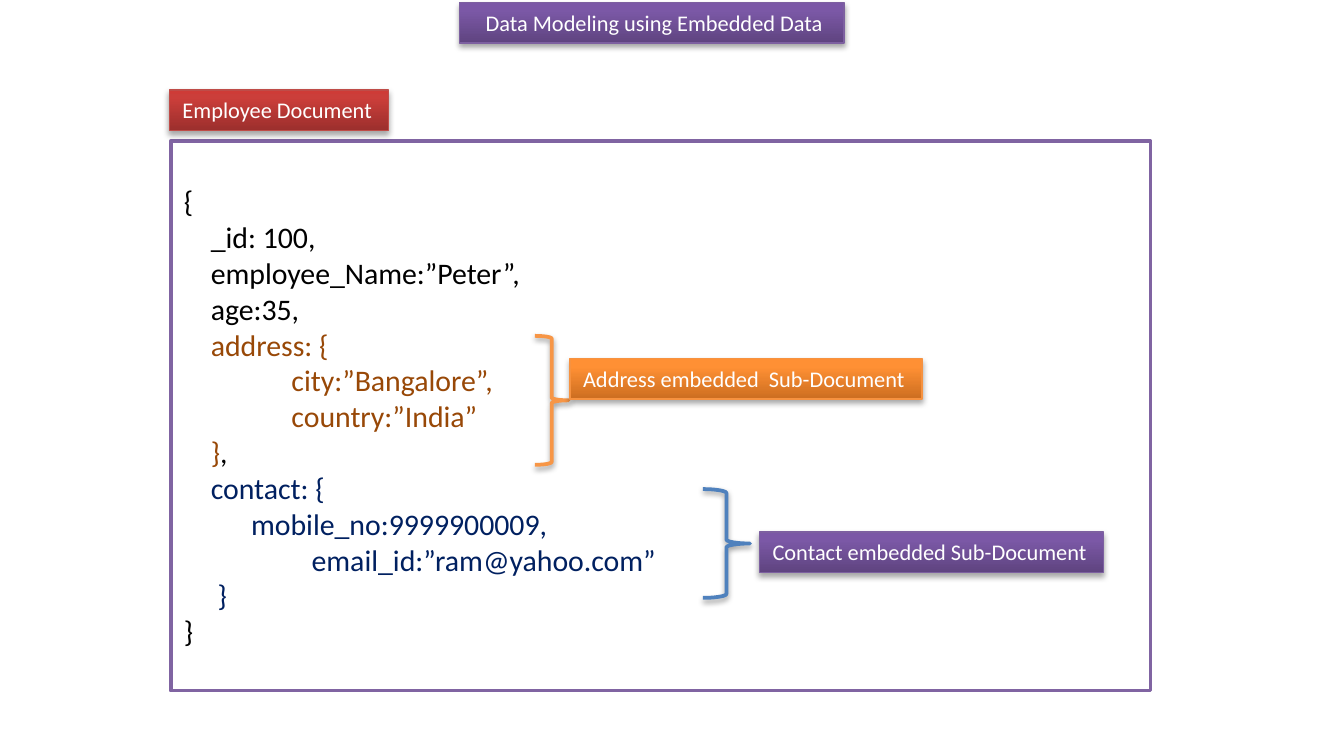
from copy import deepcopy
from lxml import etree
from pptx import Presentation
from pptx.dml.color import RGBColor
from pptx.enum.shapes import MSO_SHAPE
from pptx.enum.text import MSO_ANCHOR, MSO_AUTO_SIZE, PP_ALIGN
from pptx.oxml.ns import qn
from pptx.util import Inches, Pt

RECT, BRACE = MSO_SHAPE.RECTANGLE, MSO_SHAPE.RIGHT_BRACE
LEFT, CENTER = PP_ALIGN.LEFT, PP_ALIGN.CENTER
TOP, MIDDLE = MSO_ANCHOR.TOP, MSO_ANCHOR.MIDDLE
GROW = MSO_AUTO_SIZE.SHAPE_TO_FIT_TEXT

BLACK, WHITE, BROWN, NAVY = "000000", "FFFFFF", "984807", "002060"

# Document: one list of (text, colour) runs for each line
CODE = [
    [("{", BLACK)],
    [("    _id: 100,", BLACK)],
    [("    employee_Name:”Peter”,", BLACK)],
    [("    age:35,", BLACK)],
    [("    address: {", BROWN)],
    [("                city:”Bangalore”,", BROWN)],
    [("                country:”India”", BROWN)],
    [("    }", BROWN), (",", BLACK)],
    [("    contact: {", NAVY)],
    [("\tmobile_no:9999900009,", NAVY)],
    [("                   email_id:”ram@yahoo.com”", NAVY)],
    [("     }", NAVY)],
    [("}", BLACK)],
]
FRAME = (1.27, 1.05, 7.29, 4.09)

# Label styles: gradient from bottom to top, then line colour
STOPS = (0, 80, 100)
RED = (("9C2F2D", "CB3E3A", "CE3B37"), "BF4C48")
ORANGE = (("CC6E20", "FF9034", "FF9136"), "F69240")
PURPLE = (("5F4480", "7B58A6", "7C57A8"), "7D60A0")

# Labels: text, left, top, width, style, alignment, wrap
HIGH = 0.3
LABELS = [
    ("Employee Document", 1.26, 0.67, 1.63, RED, LEFT, False),
    ("Address embedded  Sub-Document", 4.24, 2.67, 2.62, ORANGE, LEFT, False),
    ("Contact embedded Sub-Document", 5.65, 3.96, 2.56, PURPLE, LEFT, False),
    (" Data Modeling using Embedded Data", 3.42, 0.02, 2.86, PURPLE, CENTER, True),
]

# Braces: place, colour
BRACES = [
    ((3.98, 2.5, 0.25, 0.96), "F79646"),
    ((5.23, 3.64, 0.35, 0.81), "4F81BD"),
]


def paint(hue):
    return RGBColor.from_string(hue)


def add_box(kind, place, line, width):
    box = slide.shapes.add_shape(kind, *map(Inches, place))
    box.shadow.inherit = False
    box.line.color.rgb = paint(line)
    box.line.width = Pt(width)
    return box


def add_shade(box, alpha, dist):
    effects = box._element.spPr.find(qn("a:effectLst"))
    shade = etree.SubElement(effects, qn("a:outerShdw"), blurRad=str(Pt(3.1)),
                             dist=str(Pt(dist)), dir="5400000", rotWithShape="0")
    tint = etree.SubElement(shade, qn("a:srgbClr"), val=BLACK)
    etree.SubElement(tint, qn("a:alpha"), val=str(alpha * 1000))


def blend(box, hues):
    fill = box.fill
    fill.gradient()
    fill.gradient_angle = 90
    stops = box._element.spPr.find(qn("a:gradFill")).find(qn("a:gsLst"))
    stops.append(deepcopy(stops[-1]))
    for stop, place, hue in zip(fill.gradient_stops, STOPS, hues):
        stop.position = place / 100
        stop.color.rgb = paint(hue)


def add_text(box, lines, size, align, **form):
    frame = box.text_frame
    for key, value in form.items():
        setattr(frame, key, value)
    for i, line in enumerate(lines):
        para = frame.add_paragraph() if i else frame.paragraphs[0]
        para.alignment = align
        for text, hue in line:
            run = para.add_run()
            run.text = text
            for key, value in {"name": "Calibri", "size": Pt(size)}.items():
                setattr(run.font, key, value)
            run.font.color.rgb = paint(hue)


deck = Presentation()
deck.slide_width, deck.slide_height = Inches(10), Inches(5.5)
slide = deck.slides.add_slide(deck.slide_layouts[6])

# Framed document
box = add_box(RECT, FRAME, "8064A2", 2)
box.fill.solid()
box.fill.fore_color.rgb = paint(WHITE)
add_text(box, CODE, 16, LEFT, word_wrap=True, vertical_anchor=MIDDLE)

# Braces beside the embedded parts
for place, hue in BRACES:
    brace = add_box(BRACE, place, hue, 2)
    brace.fill.background()
    add_shade(brace, 38, 1.6)

# Title and labels
for text, left, top, width, (hues, line), align, wrap in LABELS:
    label = add_box(RECT, (left, top, width, HIGH), line, 0.75)
    blend(label, hues)
    add_shade(label, 35, 1.8)
    add_text(label, [[(text, WHITE)]], 12, align, word_wrap=wrap,
             vertical_anchor=TOP, auto_size=GROW)

deck.save("out.pptx")
